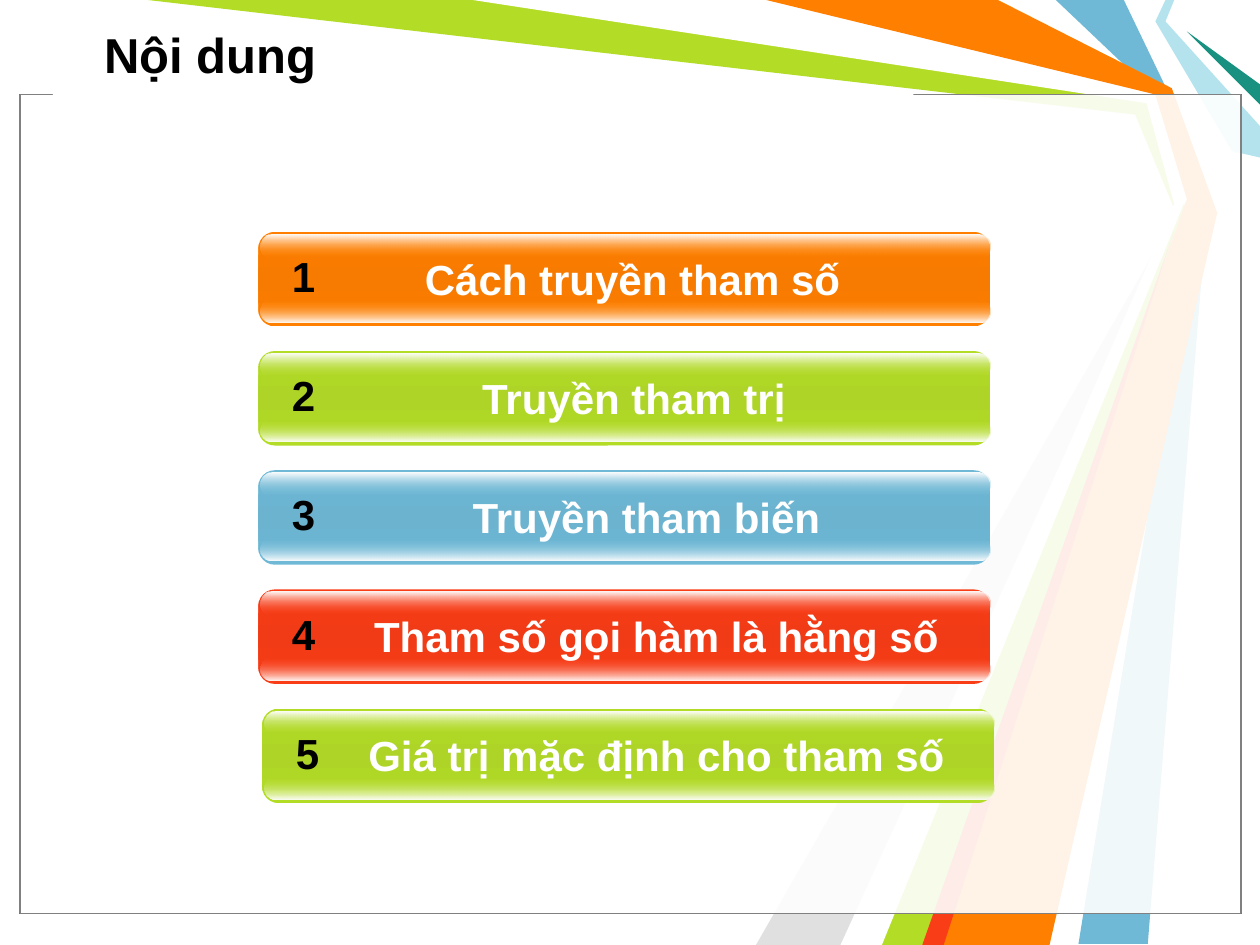
"""Build the agenda slide with five glossy topic bars."""
import lxml.etree
import pptx
import pptx.dml.color
import pptx.enum.shapes
import pptx.enum.text
import pptx.oxml.ns
import pptx.util

UNIT = pptx.util.Inches(1)
COLUMNS, ROWS = 10, 7.5
PRESET = pptx.enum.shapes.MSO_SHAPE
ALIGN = pptx.enum.text.PP_ALIGN
WHITE, BLACK, GREY = "FFFFFF", "000000", "808080"
ORANGE, LIME, SKY, RED = "FF7F00", "B3DC27", "6FB9D7", "F93D17"

RIBBONS = [
    (SKY, [(8.92, 0), (9.29, 0.77), (9.58, 1.67), (9.11, 7.49), (8.56, 7.49),
           (9.5, 1.67), (9.17, 0.75), (8.38, 0)]),
    (LIME, [(1.17, 0), (3.83, 0), (9.14, 0.78), (9.42, 1.69), (7.42, 7.5),
            (6.92, 7.5), (9.35, 1.73), (9.01, 0.91)]),
    ("E0E0E0", [(6.67, 7.5), (9.27, 1.81), (6, 7.5)]),
    (WHITE, [(3.75, 0), (9.1, 0.82), (9.32, 1.62), (6.75, 7.5), (7, 7.5),
             (9.41, 1.58), (9.17, 0.75), (6, 0)]),
    ("B4E3EE", [(9.25, 0), (9.17, 0.17), (9.78, 1.2), (10, 1.25), (10, 1),
                (9.25, 0.17), (9.32, 0)]),
    ("189180", [(10, 0.83), (9.42, 0.25), (10, 0.67)]),
    (ORANGE, [(6.08, 0), (7.92, 0), (9.3, 0.7), (9.66, 1.69), (8.33, 7.5),
              (7.33, 7.5), (9.42, 1.58), (9.17, 0.75)]),
    (RED, [(7.32, 7.5), (9.32, 1.83), (7.49, 7.5)]),
]

TOPICS = [
    ("Cách truyền tham số", ORANGE, "F67B00", 2.05, 2.56),
    ("Truyền tham trị", LIME, "ADD426", 2.05, 2.57),
    ("Truyền tham biến", SKY, "6BB3CF", 2.05, 2.67),
    ("Tham số gọi hàm là hằng số", RED, "F03B16", 2.05, 2.75),
    ("Giá trị mặc định cho tham số", LIME, "ADD426", 2.08, 2.75),
]


def colour(code):
    """Turn a hex string into a colour."""
    return pptx.dml.color.RGBColor.from_string(code)


def emu(*lengths):
    """Turn grid lengths into slide units."""
    return [round(length * UNIT) for length in lengths]


def add_alpha(element, percent):
    """Give a colour element an opacity."""
    alpha = lxml.etree.SubElement(element, pptx.oxml.ns.qn("a:alpha"))
    alpha.set("val", str(percent * 1000))


def paint(shape, fill, line=None, opacity=100):
    """Give a shape a flat fill and an optional thin outline."""
    shape.shadow.inherit = False
    shape.fill.solid()
    shape.fill.fore_color.rgb = colour(fill)
    if opacity < 100:
        add_alpha(next(shape._element.spPr.iter(pptx.oxml.ns.qn("a:srgbClr"))), opacity)
    if line:
        shape.line.color.rgb = colour(line)
        shape.line.width = pptx.util.Pt(0.75)
    else:
        shape.line.fill.background()


def add_glossy(shapes, box, roundness, stops):
    """Add a rounded bar shaded downwards through (position, colour, opacity) stops."""
    bar = shapes.add_shape(PRESET.ROUNDED_RECTANGLE, *emu(*box))
    bar.adjustments[0] = roundness
    bar.shadow.inherit = False
    bar.line.fill.background()
    bar.fill.gradient()
    bar.fill.gradient_angle = 270
    shades = next(bar._element.spPr.iter(pptx.oxml.ns.qn("a:gsLst")))
    for shade in list(shades):
        shades.remove(shade)
    for position, code, opacity in stops:
        shade = lxml.etree.SubElement(shades, pptx.oxml.ns.qn("a:gs"))
        shade.set("pos", str(position * 1000))
        tint = lxml.etree.SubElement(shade, pptx.oxml.ns.qn("a:srgbClr"))
        tint.set("val", code)
        if opacity < 100:
            add_alpha(tint, opacity)


def write(frame, words, size, code, align):
    """Write one bold run into the first paragraph of a frame."""
    paragraph = frame.paragraphs[0]
    paragraph.alignment = align
    run = paragraph.add_run()
    run.text = words
    run.font.name = "Arial"
    run.font.size = pptx.util.Pt(size)
    run.font.bold = True
    run.font.color.rgb = colour(code)


def add_caption(shapes, box, words, code):
    """Add a centred caption of a topic bar."""
    frame = shapes.add_textbox(*emu(*box)).text_frame
    frame.word_wrap = True
    frame.auto_size = pptx.enum.text.MSO_AUTO_SIZE.SHAPE_TO_FIT_TEXT
    write(frame, words, 24, code, ALIGN.CENTER)


def add_backdrop(shapes, box):
    """Draw the ribbons and the translucent framed panel."""
    left, top, width, height = box
    for code, corners in RIBBONS:
        points = [emu(left + x, top + y) for x, y in corners]
        builder = shapes.build_freeform(*points[0], scale=1.0)
        builder.add_line_segments(points[1:], close=True)
        paint(builder.convert_to_shape(), code)
    panel = (left + 0.16, top + 0.75, width - 0.31, height - 1)
    for line in (BLACK, GREY):
        paint(shapes.add_shape(PRESET.RECTANGLE, *emu(*panel)), WHITE, line, 69)
    gap = (left + 0.42, top + 0.74, 6.83, 0.17)
    paint(shapes.add_shape(PRESET.RECTANGLE, *emu(*gap)), WHITE)


def add_heading(shapes, box, words):
    """Place the title placeholder in front of the backdrop."""
    heading = shapes.title
    heading.left, heading.top, heading.width, heading.height = emu(*box)
    shapes._spTree.append(heading._element)
    heading.text_frame.vertical_anchor = pptx.enum.text.MSO_ANCHOR.MIDDLE
    heading.text_frame.auto_size = pptx.enum.text.MSO_AUTO_SIZE.NONE
    write(heading.text_frame, words, 28, BLACK, ALIGN.LEFT)


def add_topic(shapes, box, number, words, base, middle, label_left):
    """Draw one glossy bar with its number and label."""
    left, top, width, height = box
    bar = shapes.add_group_shape().shapes
    add_glossy(bar, box, 0.175, [(0, base, 100), (50, middle, 100), (100, base, 100)])
    for shift, stops in (
        (0.54, [(0, base, 0), (100, WHITE, 100)]),
        (0.02, [(0, WHITE, 100), (100, base, 0)]),
    ):
        add_glossy(bar, (left + 0.02, top + shift, width - 0.02, 0.18), 0.5, stops)
    add_caption(shapes, (label_left, top + 0.12, 4.92, 0.5), words, WHITE)
    add_caption(shapes, (left + 0.15, top + 0.1, 0.42, 0.5), str(number), BLACK)


def add_topics(shapes, box):
    """Stack the topic bars at an equal pitch from the top of the box."""
    _, top, width, height = box
    pitch = height / len(TOPICS)
    for index, (words, base, middle, left, label_left) in enumerate(TOPICS):
        row = (left, top + index * pitch, width, 0.75)
        add_topic(shapes, row, index + 1, words, base, middle, label_left)


def main():
    """Build and save the slide."""
    deck = pptx.Presentation()
    deck.slide_width, deck.slide_height = emu(COLUMNS, ROWS)
    shapes = deck.slides.add_slide(deck.slide_layouts[5]).shapes
    add_backdrop(shapes, (0, 0, COLUMNS, ROWS))
    add_heading(shapes, (0.73, 0.08, 9.11, 0.69), "Nội dung")
    add_topics(shapes, (2.05, 1.84, 5.81, 4.73))
    deck.save("out.pptx")


if __name__ == "__main__":
    main()
